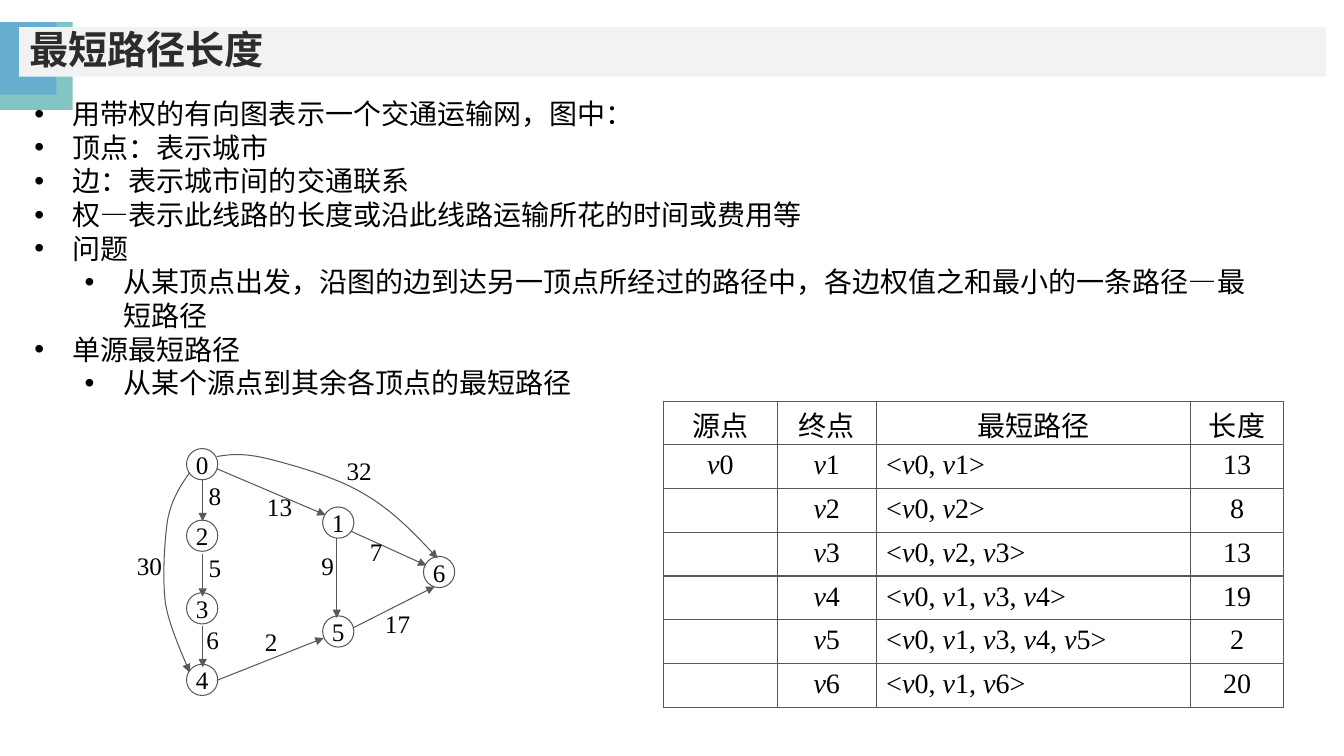
from lxml import etree
from pptx import Presentation
from pptx.dml.color import RGBColor
from pptx.enum import shapes, text
from pptx.oxml import ns
from pptx.util import Pt

PX = 9144  # 100 px to the inch
SERIF, SANS = "Times New Roman", "Noto Sans CJK SC"
GREY, BLACK = "595959", "000000"
ARROW, ELLIPSE = shapes.MSO_CONNECTOR.STRAIGHT, shapes.MSO_SHAPE.OVAL
CENTER, LEFT = text.PP_ALIGN.CENTER, text.PP_ALIGN.LEFT


def style(run, size, name, color=BLACK, bold=False, italic=False):
    font = run.font
    font.size, font.bold, font.italic = Pt(size), bold, italic
    font.color.rgb = RGBColor.from_string(color)
    font.name = name
    properties = run._r.get_or_add_rPr()
    etree.SubElement(properties, ns.qn("a:ea"), typeface=SANS)


def make_arrow(shape):
    """Give a line its colour and width, and an arrowhead at its end."""
    shape.line.color.rgb = RGBColor.from_string(GREY)
    shape.line.width = Pt(0.75)
    line = shape.line._get_or_add_ln()
    etree.SubElement(line, ns.qn("a:tailEnd"), type="triangle")
    properties = shape.element.spPr
    if properties.find(ns.qn("a:effectLst")) is None:
        etree.SubElement(properties, ns.qn("a:effectLst"))


presentation = Presentation()
presentation.slide_width, presentation.slide_height = 1333 * PX, 750 * PX
slide = presentation.slides.add_slide(presentation.slide_layouts[1])
title, body = slide.placeholders

# Title bar with its two corner blocks behind it
for width, height, color in ((72, 87, "84C4C3"), (56, 72, "65AECF")):
    block = slide.shapes.add_shape(shapes.MSO_SHAPE.RECTANGLE, 0, 22 * PX, width * PX, height * PX)
    block.shadow.inherit = False
    block.fill.solid()
    block.fill.fore_color.rgb = RGBColor.from_string(color)
    block.line.fill.background()
    title.element.addprevious(block.element)

title.left, title.top, title.width, title.height = 19 * PX, 27 * PX, 1296 * PX, 49 * PX
title.fill.solid()
title.fill.fore_color.rgb = RGBColor.from_string("F2F2F2")
title.text_frame.text = "最短路径长度"
title.text_frame.auto_size = text.MSO_AUTO_SIZE.NONE
title.text_frame.vertical_anchor = text.MSO_ANCHOR.MIDDLE
heading = title.text_frame.paragraphs[0]
heading.alignment, heading.line_spacing = LEFT, 0.9
style(heading.runs[0], 28, "Arial", "2C2C2C", bold=True)

# Bulleted list
points = (
    (0, "用带权的有向图表示一个交通运输网，图中："),
    (0, "顶点：表示城市"),
    (0, "边：表示城市间的交通联系"),
    (0, "权—表示此线路的长度或沿此线路运输所花的时间或费用等"),
    (0, "问题"),
    (1, "从某顶点出发，沿图的边到达另一顶点所经过的路径中，各边权值之和最小的一条路径—最短路径"),
    (0, "单源最短路径"),
    (1, "从某个源点到其余各顶点的最短路径"),
)
body.left, body.top, body.width, body.height = 24 * PX, 91 * PX, 1228 * PX, 313 * PX
body.text_frame.text = "\n".join(wording for level, wording in points)
body.text_frame.auto_size = text.MSO_AUTO_SIZE.NONE
for paragraph, (level, wording) in zip(body.text_frame.paragraphs, points):
    paragraph.level = level
    paragraph.alignment = LEFT
    paragraph.line_spacing, paragraph.space_before = Pt(24), Pt(0)
    properties = paragraph._p.get_or_add_pPr()
    properties.set("marL", str((38 + 50 * level) * PX))
    properties.set("indent", str(-38 * PX))
    etree.SubElement(properties, ns.qn("a:buFont"), typeface="Arial")
    etree.SubElement(properties, ns.qn("a:buChar"), char="•")
    style(paragraph.runs[0], 20, SANS)

# Graph: vertices
vertices = {"5": (320, 611), "1": (320, 503), "6": (420, 552), "4": (185, 659),
            "3": (185, 588), "2": (185, 516), "0": (185, 445)}
for name, (left, top) in vertices.items():
    vertex = slide.shapes.add_shape(ELLIPSE, left * PX, top * PX, 31 * PX, 31 * PX)
    vertex.shadow.inherit = False
    vertex.fill.background()
    vertex.line.color.rgb = RGBColor.from_string(GREY)
    vertex.line.width = Pt(0.75)
    vertex.text_frame.text = name
    vertex.text_frame.word_wrap = False
    vertex.text_frame.vertical_anchor = text.MSO_ANCHOR.MIDDLE
    vertex.text_frame.paragraphs[0].alignment = CENTER
    style(vertex.text_frame.paragraphs[0].runs[0], 18, SERIF)

# Graph: straight edges
edges = (
    (201, 476, 201, 517), (201, 550, 201, 592), (201, 621, 201, 662),
    (215, 465, 323, 511), (348, 527, 423, 561), (215, 675, 321, 633),
    (350, 623, 431, 582), (334, 534, 334, 613),
)
for edge in edges:
    make_arrow(slide.shapes.add_connector(ARROW, *(value * PX for value in edge)))

# Graph: curved edges, each a chain of cubic curves sharing end points
curves = (
    ((188, 469), (179, 482), (170, 495), (166, 517), (163, 539), (161, 573),
     (164, 598), (168, 623), (184, 656), (188, 667)),
    ((215, 453), (227, 451), (240, 449), (265, 455), (289, 461), (333, 473),
     (361, 490), (389, 506), (412, 530), (434, 554)),
)
STEPS = 12
for controls in curves:
    trace = []
    for first in range(0, len(controls) - 1, 3):
        cubic = controls[first:first + 4]
        for step in range(1, STEPS + 1):
            t = step / STEPS
            weights = ((1 - t) ** 3, 3 * t * (1 - t) ** 2, 3 * t ** 2 * (1 - t), t ** 3)
            trace.append([sum(w * point[axis] for w, point in zip(weights, cubic)) * PX
                          for axis in (0, 1)])
    start_x, start_y = controls[0]
    builder = slide.shapes.build_freeform(start_x * PX, start_y * PX)
    builder.add_line_segments(trace, close=False)
    curve = builder.convert_to_shape()
    curve.fill.background()
    make_arrow(curve)

# Graph: edge weights
weight_labels = (
    ("8", 197, 472), ("5", 197, 543), ("6", 195, 614), ("2", 253, 616), ("30", 126, 541),
    ("13", 255, 483), ("7", 357, 527), ("17", 372, 599), ("32", 334, 447), ("9", 309, 541),
)
for wording, left, top in weight_labels:
    width = 20 + 13 * len(wording)
    label = slide.shapes.add_textbox(left * PX, top * PX, width * PX, 40 * PX)
    label.text_frame.text = wording
    label.text_frame.word_wrap = False
    label.text_frame.auto_size = text.MSO_AUTO_SIZE.SHAPE_TO_FIT_TEXT
    style(label.text_frame.paragraphs[0].runs[0], 18, SERIF)

# Table of shortest paths: each path is a string of vertex digits
paths = (("01", "13"), ("02", "8"), ("023", "13"), ("0134", "19"), ("01345", "2"), ("016", "20"))
rows = [[["源点"], ["终点"], ["最短路径"], ["长度"]]]
for route, length in paths:
    pieces = ["<"]
    for position, digit in enumerate(route):
        pieces += [" v" if position else "v", digit + ","]
    pieces[-1] = route[-1] + ">"
    source = ["v", "0"] if len(rows) == 1 else []
    rows.append([source, ["v", route[-1]], pieces, [length]])

column_widths = (113, 98, 312, 92)
table = slide.shapes.add_table(len(rows), len(column_widths), 658 * PX, 398 * PX,
                               sum(column_widths) * PX, 303 * PX).table
table.first_row = table.horz_banding = False
for column, width in zip(table.columns, column_widths):
    column.width = width * PX
for row_index, row in enumerate(rows):
    for column_index, pieces in enumerate(row):
        cell = table.cell(row_index, column_index)
        paragraph = cell.text_frame.paragraphs[0]
        is_header = row_index == 0
        paragraph.alignment = LEFT if column_index == 2 and not is_header else CENTER
        if is_header:
            paragraph.line_spacing = Pt(24)
            cell.margin_bottom = 0
            cell.vertical_anchor = text.MSO_ANCHOR.BOTTOM
        for piece in pieces:
            run = paragraph.add_run()
            run.text = piece
            style(run, 20, SANS if is_header else SERIF, italic="v" in piece)
        properties = cell._tc.get_or_add_tcPr()
        for side in ("a:lnL", "a:lnR", "a:lnT", "a:lnB"):
            border = etree.SubElement(properties, ns.qn(side), w=str(Pt(1)))
            fill = etree.SubElement(border, ns.qn("a:solidFill"))
            etree.SubElement(fill, ns.qn("a:srgbClr"), val=GREY)
        cell.fill.background()

presentation.save("out.pptx")
